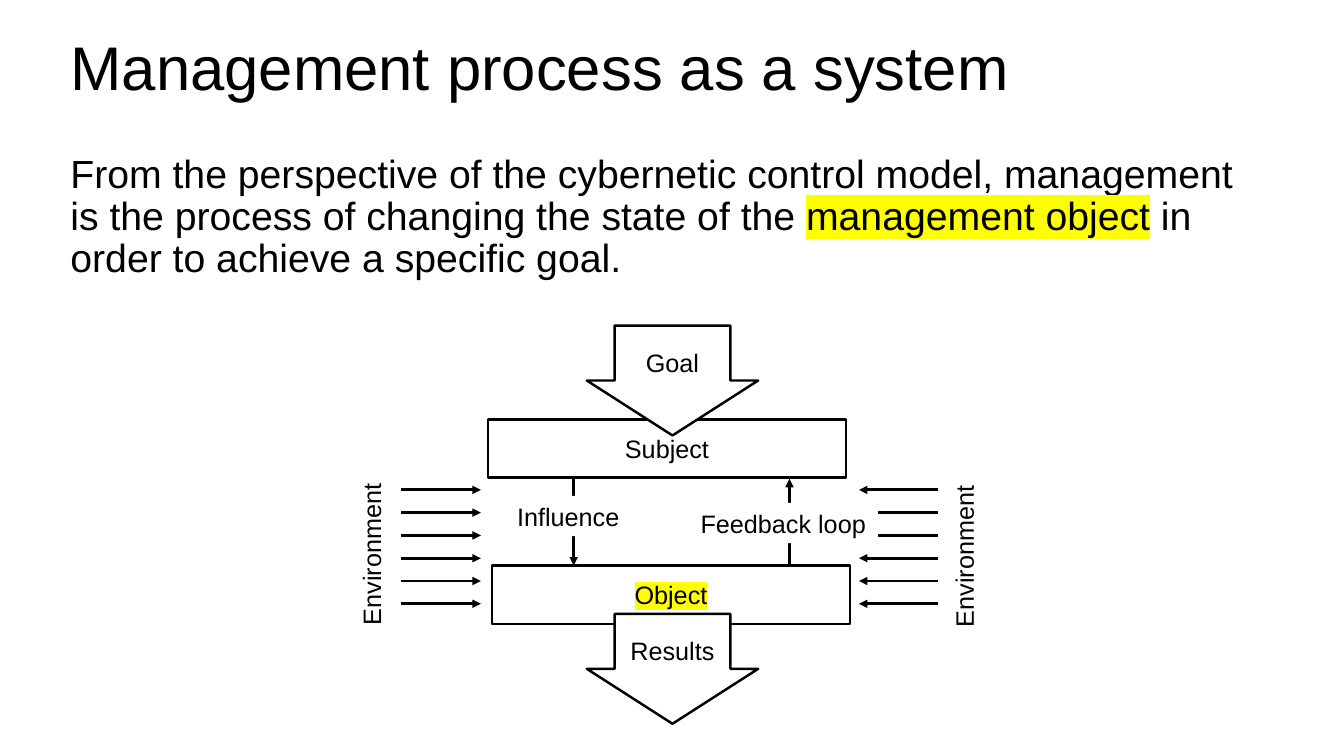
from pptx import Presentation
from pptx.dml.color import RGBColor
from pptx.enum import shapes, text
from pptx.oxml import parse_xml
from pptx.oxml.ns import nsdecls
from pptx.util import Inches, Pt

TITLE = "Management process as a system"
STATEMENT = [
    ("From the perspective of the cybernetic control model, management "
     "is the process of changing the state of the ", False),
    ("management object", True),
    (" in order to achieve a specific goal.", False),
]
BLOCKS = {  # label: (left, top, highlighted)
    "Subject": (4.84, 4.16, False),
    "Object": (4.88, 5.61, True),
}
BLOCK_SIZE = (3.55, 0.58)
FLOWS = {"Goal": 3.23, "Results": 6.09}  # label: top
FLOW_LEFT, FLOW_SIZE = 5.82, (1.7, 1.09)
LOOPS = [  # label, its box, arrow x, from y, to y
    ("Influence", (5.03, 4.92, 1.23, 0.4), 5.69, 4.74, 5.61),
    ("Feedback loop", (6.85, 4.99, 1.86, 0.4), 7.83, 5.61, 4.75),
]
ENVIRONMENT = "Environment"
SIDES = [  # label box, arrows from x, to x
    ((2.87, 5.29, 1.62, 0.4), 3.98, 4.77),
    ((8.75, 5.31, 1.62, 0.4), 9.3, 8.52),
]
INFLUENCES, FIRST_Y, LAST_Y = 6, 4.86, 5.99

THEME = {
    "font": "Arial", "ink": RGBColor(0, 0, 0), "paper": RGBColor(255, 255, 255),
    "highlight": "FFFF00", "title": Pt(44), "body": Pt(28), "label": Pt(18),
    "outline": Pt(1.75), "arrow": Pt(2),
}


def box(left, top, width, height):
    return [Inches(value) for value in (left, top, width, height)]


def write(shape, runs, size, paragraph_format=None, **frame_format):
    frame = shape.text_frame
    for name, value in frame_format.items():
        setattr(frame, name, value)
    paragraph = frame.paragraphs[0]
    for name, value in (paragraph_format or {}).items():
        setattr(paragraph, name, value)
    for words, highlighted in runs:
        run = paragraph.add_run()
        run.text = words
        run.font.size, run.font.name = size, THEME["font"]
        run.font.color.rgb = THEME["ink"]
        if highlighted:
            run.font.fill._xPr.find("{*}solidFill").addnext(parse_xml(
                f'<a:highlight {nsdecls("a")}><a:srgbClr val="{THEME["highlight"]}"/>'
                '</a:highlight>'))


def add_filled(slide, preset, place, outlined=True):
    shape = slide.shapes.add_shape(preset, *box(*place))
    shape.shadow.inherit = False
    shape.fill.solid()
    shape.fill.fore_color.rgb = THEME["paper"]
    if outlined:
        shape.line.color.rgb, shape.line.width = THEME["ink"], THEME["outline"]
    else:
        shape.line.fill.background()
    return shape


def add_arrow(slide, *ends):
    arrow = slide.shapes.add_connector(
        shapes.MSO_CONNECTOR.STRAIGHT, *[Inches(value) for value in ends])
    arrow.line.color.rgb, arrow.line.width = THEME["ink"], THEME["arrow"]
    arrow.line._get_or_add_ln().append(
        parse_xml(f'<a:tailEnd {nsdecls("a")} type="triangle"/>'))
    arrow._element.spPr.append(parse_xml(f'<a:effectLst {nsdecls("a")}/>'))


def main():
    deck = Presentation()
    deck.slide_width, deck.slide_height = Inches(13.33), Inches(7.5)
    slide = deck.slides.add_slide(deck.slide_layouts[5])

    top, middle = text.MSO_ANCHOR.TOP, text.MSO_ANCHOR.MIDDLE
    prose = {"alignment": text.PP_ALIGN.LEFT, "line_spacing": 0.9}
    centred = {"alignment": text.PP_ALIGN.CENTER}
    label = {"alignment": text.PP_ALIGN.LEFT}
    tight = {"word_wrap": False, "vertical_anchor": top,
             "auto_size": text.MSO_AUTO_SIZE.SHAPE_TO_FIT_TEXT}

    title = slide.shapes.title
    title.left, title.top, title.width, title.height = box(0.6, 0.32, 12.17, 1.45)
    write(title, [(TITLE, False)], THEME["title"], prose, vertical_anchor=top)
    statement = slide.shapes.add_textbox(*box(0.6, 1.48, 12.09, 1.45))
    write(statement, STATEMENT, THEME["body"], prose, word_wrap=True)

    for name, (left, y, highlighted) in BLOCKS.items():
        block = add_filled(slide, shapes.MSO_SHAPE.RECTANGLE, (left, y, *BLOCK_SIZE))
        write(block, [(name, highlighted)], THEME["label"], centred,
              vertical_anchor=middle)
    for name, y in FLOWS.items():
        flow = add_filled(slide, shapes.MSO_SHAPE.DOWN_ARROW, (FLOW_LEFT, y, *FLOW_SIZE))
        flow.adjustments[0], flow.adjustments[1] = 0.675, 0.5
        write(flow, [(name, False)], THEME["label"], centred, vertical_anchor=middle)

    step = (LAST_Y - FIRST_Y) / (INFLUENCES - 1)
    for place, start, end in SIDES:
        side = slide.shapes.add_textbox(*box(*place))
        side.rotation = 270
        write(side, [(ENVIRONMENT, False)], THEME["label"], label, **tight)
        for index in range(INFLUENCES):
            y = FIRST_Y + index * step
            add_arrow(slide, start, y, end, y)

    for name, place, x, start, end in LOOPS:
        add_arrow(slide, x, start, x, end)
        loop = add_filled(slide, shapes.MSO_SHAPE.RECTANGLE, place, outlined=False)
        write(loop, [(name, False)], THEME["label"], label, **tight)

    deck.save("out.pptx")


if __name__ == "__main__":
    main()
